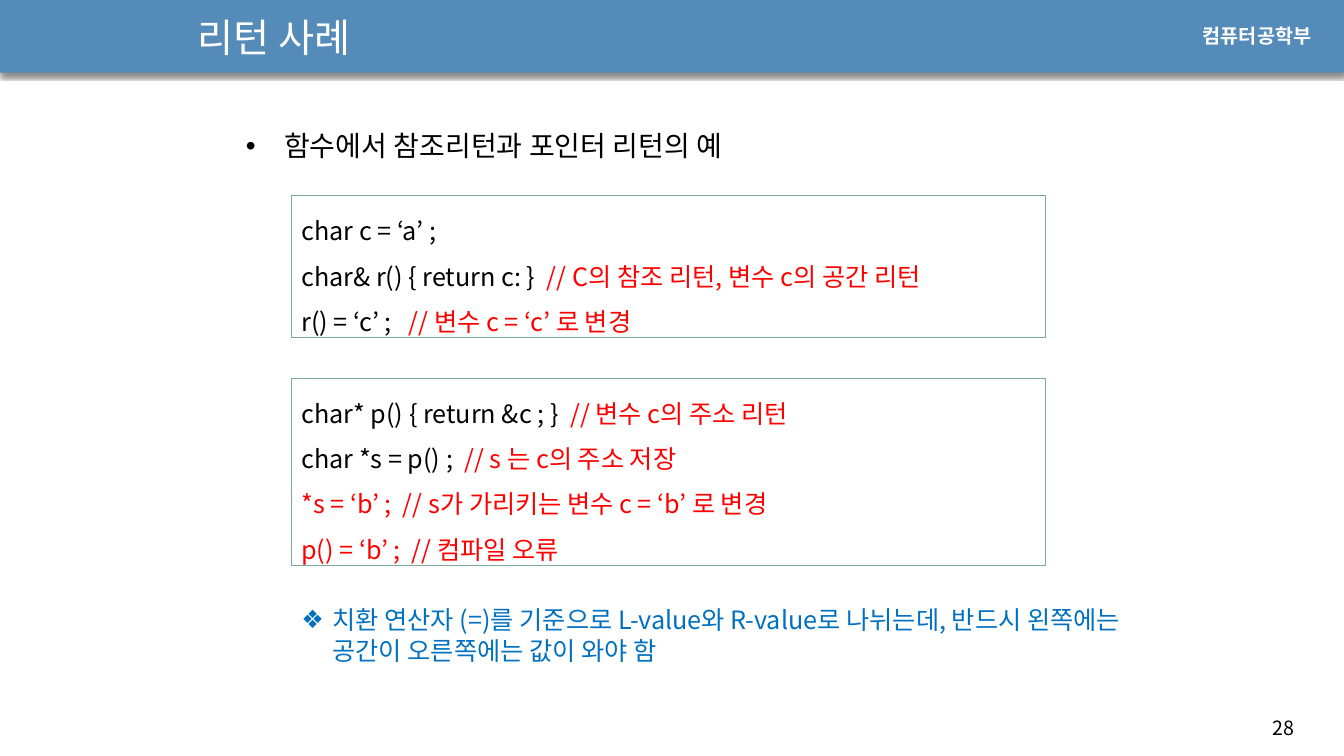
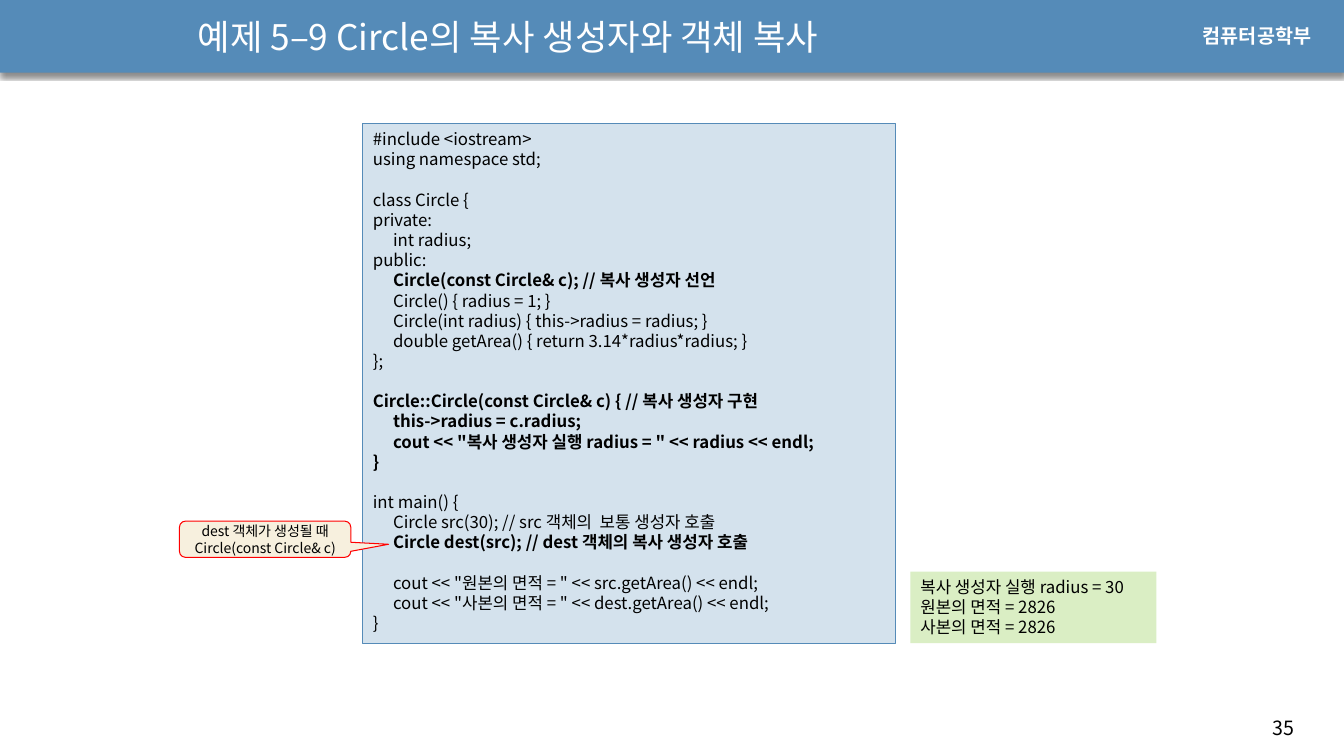
from lxml.etree import SubElement
from pptx import Presentation
from pptx.dml.color import RGBColor
from pptx.enum.shapes import MSO_SHAPE as Shape
from pptx.enum.text import MSO_ANCHOR as Anchor, MSO_AUTO_SIZE as Fit, PP_ALIGN as Align
from pptx.oxml import parse_xml
from pptx.oxml.ns import nsdecls, qn
from pptx.util import Inches, Pt

C = {
    "band": "558BB8", "white": "FFFFFF", "black": "000000", "red": "FF0000",
    "note": "0070C0", "edge": "7BA79D", "code": "D4E2ED", "out": "DAEEC4",
    "tip": "F7F0DE",
}
FONT = "Noto Sans CJK KR"


def box(sld, at, fill=None, line=None, width=0.75, kind=Shape.RECTANGLE):
    """Add a plain text box, or a shape when a fill is given."""
    at = [Inches(n) for n in at]
    if fill:
        shp = sld.shapes.add_shape(kind, *at)
        shp.shadow.inherit = False
        shp.fill.solid()
        shp.fill.fore_color.rgb = RGBColor.from_string(C[fill])
        if line:
            shp.line.color.rgb = RGBColor.from_string(C[line])
            shp.line.width = Pt(width)
        else:
            shp.line.fill.background()
    else:
        shp = sld.shapes.add_textbox(*at)
    shp.text_frame.word_wrap = True
    shp.text_frame.vertical_anchor = Anchor.TOP
    return shp


def style(par, size, color="black", name=FONT, bold=False, align=Align.LEFT):
    """Format a whole paragraph, Korean glyphs included."""
    par.alignment = align
    font = par.font
    font.size, font.bold, font.name = Pt(size), bold, name
    font.color.rgb = RGBColor.from_string(C[color])
    SubElement(font._element, qn("a:ea")).set("typeface", name)


prs = Presentation()
prs.slide_width, prs.slide_height = Inches(13.33), Inches(7.5)
base = prs.slide_layouts[5]

# Titles and page numbers
pages = []
for text, size, num in [
    ("리턴 사례", 28, "28"),
    ("예제 5–9 Circle의 복사 생성자와 객체 복사", 25.2, "35"),
]:
    sld = prs.slides.add_slide(base)
    pages.append(sld)
    head = sld.shapes.title
    head.left, head.top = Inches(1.86), Inches(0.05)
    head.width, head.height = Inches(7.4), Inches(0.63)
    head.text_frame.text = text
    head.text_frame.auto_size = Fit.NONE
    head.text_frame.vertical_anchor = Anchor.MIDDLE
    style(head.text_frame.paragraphs[0], size, "white")
    par = box(sld, (12.52, 7.05, 0.71, 0.34)).text_frame.paragraphs[0]
    par.text = num
    style(par, 14)
first, second = pages

# Shared band and school name, moved to the layout
band = box(first, (0, -0.01, 13.33, 0.73), "band")
fx = band._element.spPr.find(qn("a:effectLst"))
fx.append(parse_xml(
    f'<a:outerShdw {nsdecls("a")} blurRad="{Pt(3)}" dist="{Pt(2.4)}" dir="5400000" '
    'algn="t" rotWithShape="0"><a:srgbClr val="000000"><a:alpha val="45000"/>'
    '</a:srgbClr></a:outerShdw>'))
school = box(first, (11.83, 0.19, 1.37, 0.34))
par = school.text_frame.paragraphs[0]
par.text = "컴퓨터공학부"
style(par, 14, "white", "Arial", True)
for spot, shp in enumerate((band, school), 2):
    base.shapes._spTree.insert(spot, shp._element)

# Slide 1: bulleted texts
for at, mark, hang, size, color, text in [
    ((2.34, 1.23, 6.38, 0.44), "•", 0.38, 20, "black",
     "함수에서 참조리턴과 포인터 리턴의 예"),
    ((2.89, 5.95, 8.43, 0.71), "❖", 0.31, 18, "note",
     "치환 연산자 (=)를 기준으로 L-value와 R-value로 나뉘는데, "
     "반드시 왼쪽에는 공간이 오른쪽에는 값이 와야 함"),
]:
    par = box(first, at).text_frame.paragraphs[0]
    par.text = text
    props = par._p.get_or_add_pPr()
    props.set("marL", str(Inches(hang)))
    props.set("indent", str(-Inches(hang)))
    SubElement(props, qn("a:buFont")).set("typeface", "Arial")
    SubElement(props, qn("a:buChar")).set("char", mark)
    style(par, size, color)

# Slide 1: code boxes, each line in a black and a red part
for top, high, lines in [
    (1.94, 1.41, [
        ("char c = ‘a’ ;", ""),
        ("char& r() { return c: }  ", "// C의 참조 리턴, 변수 c의 공간 리턴"),
        ("r() = ‘c’ ;   ", "// 변수 c = ‘c’ 로 변경"),
    ]),
    (3.75, 1.86, [
        ("char* p() { return &c ; }  ", "// 변수 c의 주소 리턴"),
        ("char *s = p() ;  ", "// s 는 c의 주소 저장"),
        ("", "*s = ‘b’ ;  // s가 가리키는 변수 c = ‘b’ 로 변경"),
        ("", "p() = ‘b’ ;  // 컴파일 오류"),
    ]),
]:
    frame = box(first, (2.89, top, 7.48, high), "white", "edge", 0.5).text_frame
    for row, parts in enumerate(lines):
        par = frame.add_paragraph() if row else frame.paragraphs[0]
        par.line_spacing = 1.5
        style(par, 18)
        for text, color in zip(parts, ("black", "red")):
            if text:
                run = par.add_run()
                run.text = text
                run.font.color.rgb = RGBColor.from_string(C[color])

# Slide 2: program listing
code = """#include <iostream>
using namespace std;

class Circle {
private:
    int radius;
public:
    Circle(const Circle& c); // 복사 생성자 선언
    Circle() { radius = 1; }
    Circle(int radius) { this->radius = radius; }
    double getArea() { return 3.14*radius*radius; }
};

Circle::Circle(const Circle& c) { // 복사 생성자 구현
    this->radius = c.radius;
    cout << "복사 생성자 실행 radius = " << radius << endl;
}

int main() {
    Circle src(30); // src 객체의  보통 생성자 호출
    Circle dest(src); // dest 객체의 복사 생성자 호출

    cout << "원본의 면적 = " << src.getArea() << endl;
    cout << "사본의 면적 = " << dest.getArea() << endl;
}"""
strong = {8, 14, 15, 16, 17, 21}
frame = box(second, (3.6, 1.23, 5.28, 5.15), "code", "band").text_frame
gap = 0
for row, line in enumerate(code.split("\n"), 1):
    if not line:
        gap = 14.4
        continue
    par = frame.add_paragraph() if row > 1 else frame.paragraphs[0]
    par.text = line.replace("    ", "\t")
    if gap:
        par.space_before = Pt(gap)
        gap = 0
    tabs = SubElement(par._p.get_or_add_pPr(), qn("a:tabLst"))
    SubElement(tabs, qn("a:tab"), pos=str(Inches(0.2)), algn="l")
    style(par, 12, bold=row in strong)

# Slide 2: program output
frame = box(second, (9.03, 5.67, 2.44, 0.71), "out").text_frame
frame.text = "복사 생성자 실행 radius = 30\n원본의 면적 = 2826\n사본의 면적 = 2826"
for par in frame.paragraphs:
    style(par, 12)

# Slide 2: callout
tip = box(second, (1.78, 5.17, 1.7, 0.36), "tip", "red",
          kind=Shape.ROUNDED_RECTANGULAR_CALLOUT)
for slot, val in enumerate((0.72, 0.14, 0.17)):
    tip.adjustments[slot] = val
tip.text_frame.vertical_anchor = Anchor.MIDDLE
par = tip.text_frame.paragraphs[0]
par.text = "dest 객체가 생성될 때 Circle(const Circle& c)"
style(par, 10, align=Align.CENTER)

prs.save("out.pptx")
